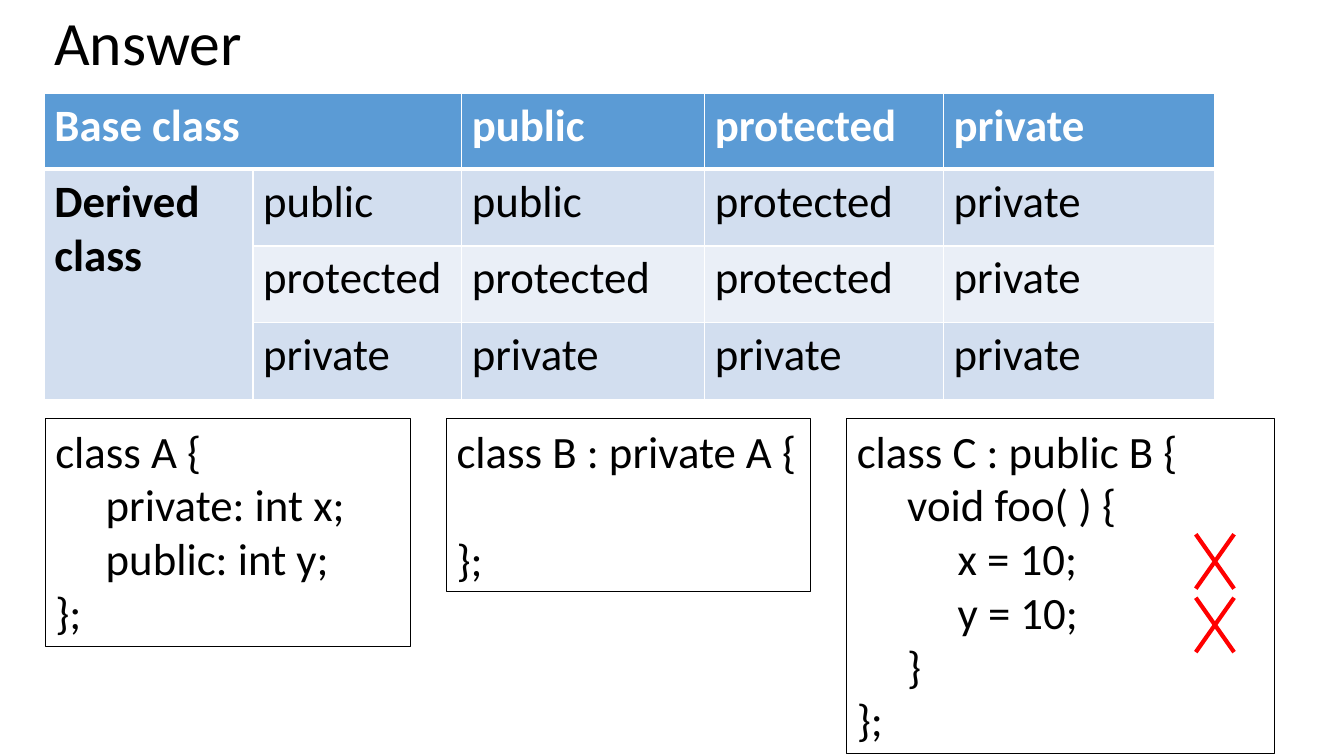
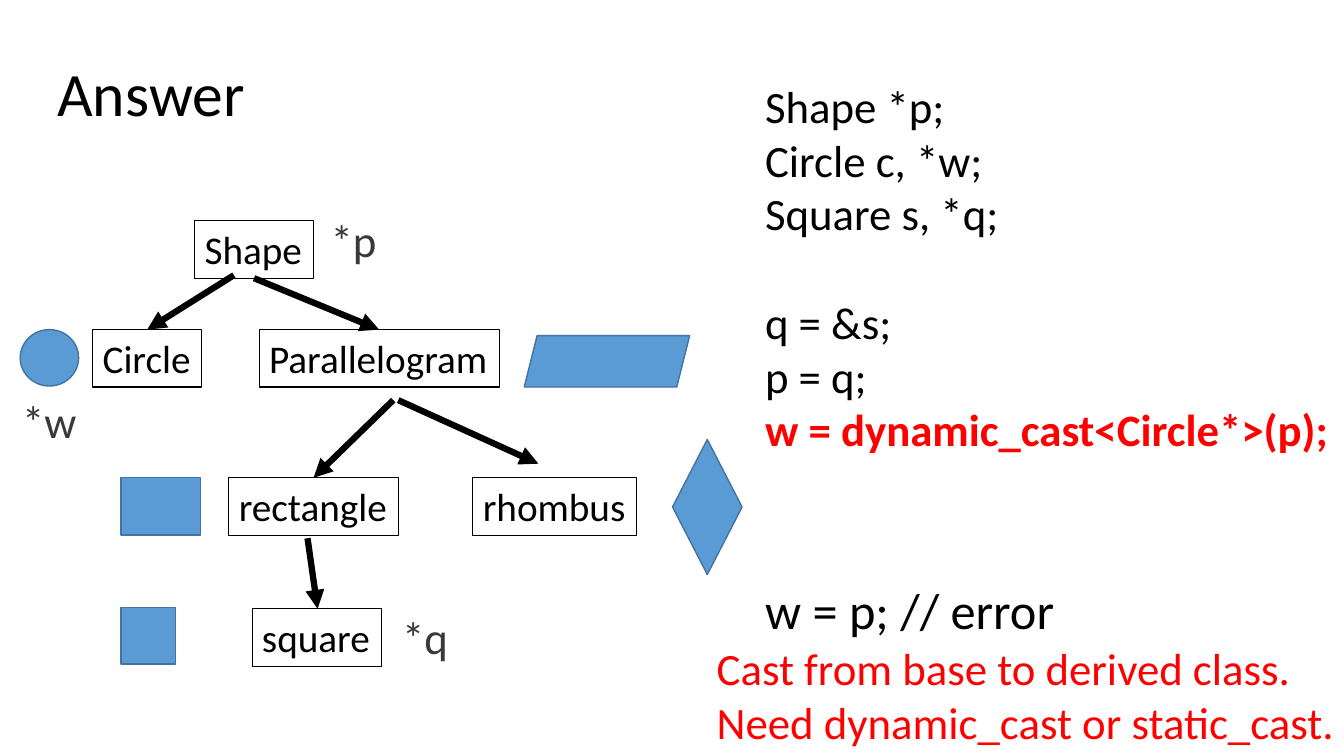
"""Build two answer slides on C++ access control and casting."""
from dataclasses import dataclass
from typing import NamedTuple

from lxml.etree import SubElement
from pptx import Presentation
from pptx.dml.color import RGBColor
from pptx.enum.shapes import MSO_CONNECTOR, MSO_SHAPE as Preset
from pptx.enum.text import MSO_ANCHOR as Anchor
from pptx.oxml.ns import qn
from pptx.slide import Slide
from pptx.text.text import TextFrame
from pptx.util import Pt

PX = 9144
FONT = "Calibri"
LINE_HEIGHT = 1.22
COLORS = {
    "ink": "000000",
    "white": "FFFFFF",
    "red": "FF0000",
    "pointer": "3B3838",
    "blue": "5B9BD5",
    "outline": "43739E",
    "band": "D2DEEF",
    "band_light": "EAEFF7",
}


class Box(NamedTuple):
    """A rectangle in px."""

    left: int
    top: int
    width: int
    height: int

    def emu(self) -> list[int]:
        """Return the rectangle in EMU."""
        return [px * PX for px in self]


class Segment(NamedTuple):
    """A straight line between two points in px."""

    x1: int
    y1: int
    x2: int
    y2: int


@dataclass(frozen=True)
class Note:
    """A text with its place and format."""

    text: str
    box: Box
    size: int = 32
    color: str = "ink"
    accent: str = ""
    framed: bool = False


@dataclass(frozen=True)
class Figure:
    """A blue geometric figure."""

    preset: Preset
    box: Box


ACCESS_COLUMNS = (207, 207, 241, 237, 269)
ACCESS_ROWS = (75, 76, 76, 76)
ACCESS = (
    ("Base class", "", "public", "protected", "private"),
    ("Derived\nclass", "public", "public", "protected", "private"),
    ("", "protected", "protected", "protected", "private"),
    ("", "private", "private", "private", "private"),
)
CLASSES = (
    Note("class A {\n\tprivate: int x;\n\tpublic: int y;\n};",
         Box(45, 415, 362, 226), framed=True),
    Note("class B : private A {\n\n};", Box(443, 415, 361, 172), framed=True),
    Note("class C : public B {\n\tvoid foo( ) {\n\t\tx = 10;\n\t\ty = 10;\n\t}\n};",
         Box(840, 415, 424, 333), framed=True),
)
CROSSES = (Box(1186, 530, 38, 54), Box(1186, 593, 38, 54))

HIERARCHY = tuple(
    Note(name, Box(left, top, width, 57), size=28, framed=True)
    for name, left, top, width in (
        ("Shape", 193, 219, 118),
        ("Circle", 92, 327, 108),
        ("Parallelogram", 257, 327, 238),
        ("rectangle", 227, 474, 168),
        ("rhombus", 469, 474, 162),
        ("square", 250, 604, 128),
    )
)
INHERITANCE = (
    Segment(252, 276, 376, 327),
    Segment(395, 397, 534, 460),
    Segment(305, 534, 315, 604),
    Segment(390, 397, 311, 474),
    Segment(232, 273, 146, 327),
)
FIGURES = (
    Figure(Preset.DIAMOND, Box(667, 436, 69, 134)),
    Figure(Preset.RECTANGLE, Box(120, 474, 79, 57)),
    Figure(Preset.RECTANGLE, Box(120, 603, 54, 56)),
    Figure(Preset.PARALLELOGRAM, Box(520, 333, 164, 51)),
    Figure(Preset.OVAL, Box(20, 327, 58, 56)),
)
CAST = "w = dynamic_cast<Circle*>(p);"
CASTING_NOTES = (
    Note("Shape *p;\nCircle c, *w;\nSquare s, *q;\n\nq = &s;\np = q;\n" + CAST,
         Box(749, 73, 584, 387), accent=CAST),
    Note("*q", Box(389, 600, 66, 64), color="pointer"),
    Note("*p", Box(318, 206, 66, 64), color="pointer"),
    Note("*w", Box(12, 386, 82, 64), color="pointer"),
    Note("w = p; // error", Box(749, 570, 309, 71), size=36),
    Note("Cast from base to derived class. Need dynamic_cast or static_cast.",
         Box(701, 631, 632, 118), color="red"),
)


def rgb(name: str) -> RGBColor:
    """Look up a named colour."""
    return RGBColor.from_string(COLORS[name])


def write_text(frame: TextFrame, text: str, *, size: int = 32, color: str = "ink",
               bold: bool = False, accent: str = "", spacing: float = 1.0) -> None:
    """Write lines as paragraphs, turning empty lines into space before the next."""
    frame.word_wrap = True
    gap = 0.0
    paragraph = frame.paragraphs[0]
    for index, line in enumerate(text.split("\n")):
        if not line:
            gap += size * LINE_HEIGHT
            continue
        if index:
            paragraph = frame.add_paragraph()
        if gap:
            paragraph.space_before = Pt(gap)
            gap = 0.0
        paragraph.line_spacing = spacing
        run = paragraph.add_run()
        run.text = line
        stressed = line == accent
        run.font.name = FONT
        run.font.size = Pt(size)
        run.font.bold = bold or stressed
        run.font.color.rgb = rgb("red" if stressed else color)


def add_note(slide: Slide, note: Note) -> None:
    """Place a text, framed if asked."""
    holder = slide.shapes.add_textbox(*note.box.emu())
    holder.text_frame.margin_right = 0
    if note.framed:
        holder.line.color.rgb = rgb("ink")
        holder.line.width = Pt(0.75)
    write_text(holder.text_frame, note.text, size=note.size, color=note.color,
               accent=note.accent)


def add_title(slide: Slide, left: int, top: int) -> None:
    """Place the shared slide title."""
    title = slide.shapes.add_textbox(*Box(left, top, 1150, 91).emu())
    title.text_frame.vertical_anchor = Anchor.MIDDLE
    write_text(title.text_frame, "Answer", size=44, spacing=0.9)


def add_line(slide: Slide, segment: Segment, color: str, width: float,
             arrow: bool = False) -> None:
    """Draw a straight line, with an arrowhead at its end if asked."""
    line = slide.shapes.add_connector(MSO_CONNECTOR.STRAIGHT, *(px * PX for px in segment))
    line.line.color.rgb = rgb(color)
    line.line.width = Pt(width)
    properties = line._element.spPr
    if arrow:
        SubElement(properties.find(qn("a:ln")), qn("a:tailEnd"), type="triangle")
    SubElement(properties, qn("a:effectLst"))


def add_cross(slide: Slide, box: Box) -> None:
    """Draw a red cross over a box."""
    left, top, width, height = box
    right, bottom = left + width, top + height
    add_line(slide, Segment(right, top, left, bottom), "red", 3)
    add_line(slide, Segment(left, top, right, bottom), "red", 3)


def add_figure(slide: Slide, figure: Figure) -> None:
    """Draw a blue geometric figure."""
    drawn = slide.shapes.add_shape(figure.preset, *figure.box.emu())
    drawn.shadow.inherit = False
    drawn.fill.solid()
    drawn.fill.fore_color.rgb = rgb("blue")
    drawn.line.color.rgb = rgb("outline")
    drawn.line.width = Pt(1)


def add_access_table(slide: Slide) -> None:
    """Draw the table of member access after inheritance."""
    box = Box(44, 93, sum(ACCESS_COLUMNS), sum(ACCESS_ROWS))
    table = slide.shapes.add_table(len(ACCESS), len(ACCESS_COLUMNS), *box.emu()).table
    for column, width in zip(table.columns, ACCESS_COLUMNS):
        column.width = width * PX
    for row, height in zip(table.rows, ACCESS_ROWS):
        row.height = height * PX
    table.cell(0, 0).merge(table.cell(0, 1))
    table.cell(1, 0).merge(table.cell(3, 0))
    for r, labels in enumerate(ACCESS):
        header = r == 0
        fill = "blue" if header else ("band" if r % 2 else "band_light")
        for c, label in enumerate(labels):
            cell = table.cell(r, c)
            properties = cell._tc.get_or_add_tcPr()
            for side in ("L", "R", "T", "B"):
                thick = (header and side == "B") or (r == 1 and side == "T")
                border = SubElement(properties, qn(f"a:ln{side}"),
                                    w=str(Pt(3 if thick else 1)))
                paint = SubElement(border, qn("a:solidFill"))
                SubElement(paint, qn("a:srgbClr"), val=COLORS["white"])
            cell.fill.solid()
            cell.fill.fore_color.rgb = rgb(fill)
            if label:
                write_text(cell.text_frame, label, bold=header or c == 0,
                           color="white" if header else "ink")


def build_access_slide(slide: Slide) -> None:
    """Fill the slide on access control."""
    add_access_table(slide)
    for note in CLASSES:
        add_note(slide, note)
    for cross in CROSSES:
        add_cross(slide, cross)
    add_title(slide, 44, 0)


def build_casting_slide(slide: Slide) -> None:
    """Fill the slide on casting within a class hierarchy."""
    add_title(slide, 47, 50)
    for node in HIERARCHY:
        add_note(slide, node)
    for segment in INHERITANCE:
        add_line(slide, segment, "ink", 4.5, arrow=True)
    for figure in FIGURES:
        add_figure(slide, figure)
    for note in CASTING_NOTES:
        add_note(slide, note)


def main() -> None:
    """Build and save the presentation."""
    deck = Presentation()
    deck.slide_width, deck.slide_height = 1333 * PX, 750 * PX
    blank = deck.slide_layouts[6]
    for build in (build_access_slide, build_casting_slide):
        build(deck.slides.add_slide(blank))
    deck.save("out.pptx")


if __name__ == "__main__":
    main()
